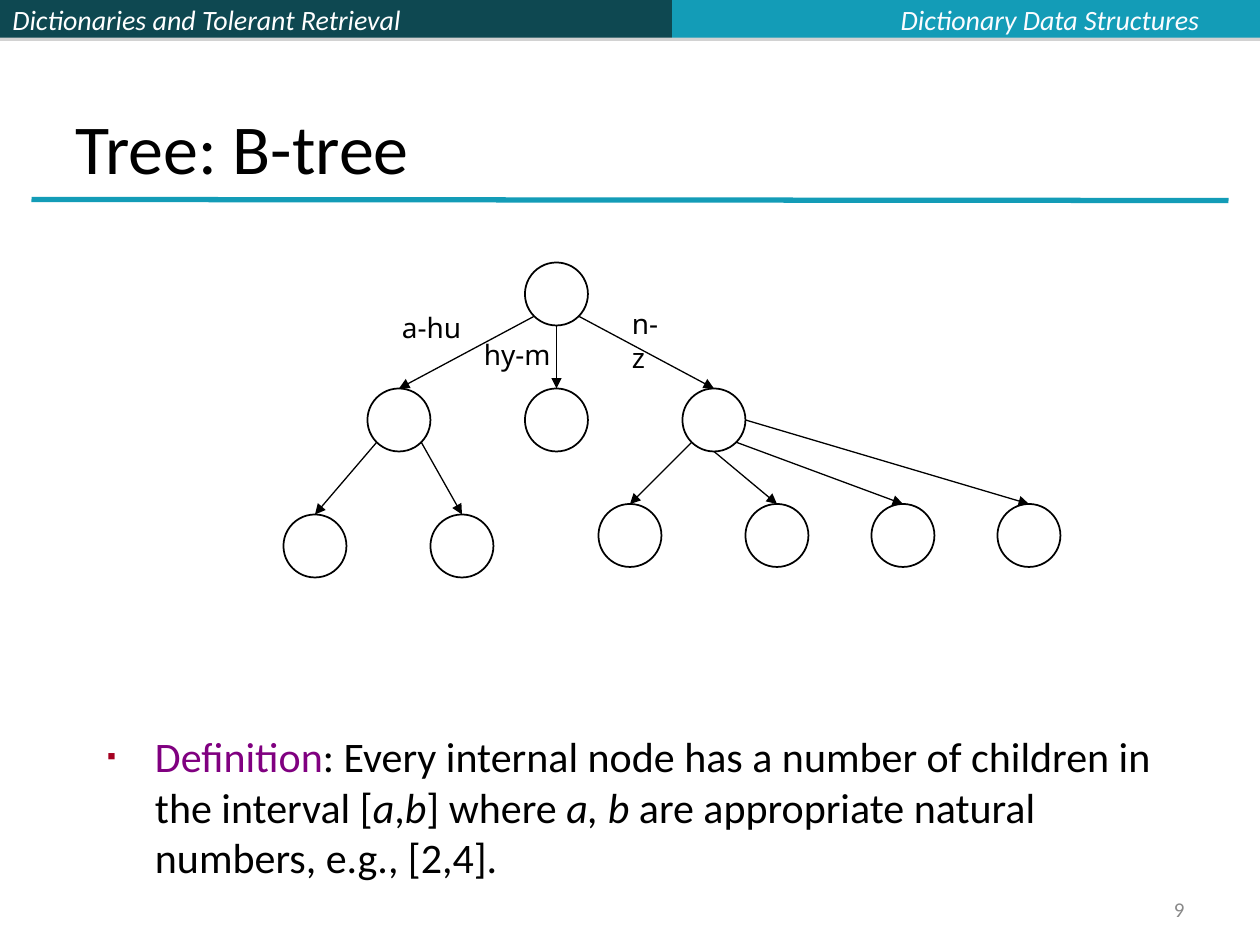
import math
from dataclasses import dataclass

import lxml.etree
import pptx
import pptx.dml.color
import pptx.enum.shapes
import pptx.enum.text
import pptx.oxml
import pptx.oxml.ns
import pptx.util

COLUMNS, ROWS = 120, 90
CELL = pptx.util.Inches(10) // COLUMNS
HEADER_ROWS = 3.6
NODE_SIZE = 6

ALIGN = pptx.enum.text.PP_ALIGN
ANCHOR = pptx.enum.text.MSO_ANCHOR
SHAPE = pptx.enum.shapes.MSO_SHAPE


@dataclass(frozen=True)
class Theme:
    font: str = "Calibri"
    label_font: str = "Noto Sans"
    ink: str = "000000"
    dark: str = "0E4851"
    accent: str = "139CB7"
    header_text: str = "FFFFFF"
    section_text: str = "FBFCFF"
    term: str = "800080"
    bullet: str = "A50021"
    muted: str = "898989"
    shadow: str = "808080"
    title_size: int = 40
    body_size: int = 24
    small_size: int = 16
    number_size: int = 12


THEME = Theme()

# Node name: centre column and top row
NODES = {
    "root": (53, 25),
    "left": (38, 37), "middle": (53, 37), "right": (68, 37),
    "left 1": (30, 49), "left 2": (44, 49),
    "right 1": (60, 48), "right 2": (74, 48),
    "right 3": (86, 48), "right 4": (98, 48),
}

# Parent, child, and the clockwise angle from the right where the edge leaves
EDGES = [
    ("root", "left", 135), ("root", "middle", 90), ("root", "right", 45),
    ("left", "left 1", 135), ("left", "left 2", 45),
    ("right", "right 1", 135), ("right", "right 2", 90),
    ("right", "right 3", 45), ("right", "right 4", 0),
]

LABELS = [
    ("a-hu", (37.1, 29, 8, 4.4)),
    ("hy-m", (44.9, 31.6, 8.8, 4.4)),
    ("n-z", (59, 28.6, 6.1, 4.4)),
]

# Text, colour, italic
DEFINITION = [
    ("Definition", THEME.term, False),
    (": Every internal node has a number of children in the interval [", THEME.ink, False),
    ("a", THEME.ink, True),
    (",", THEME.ink, False),
    ("b", THEME.ink, True),
    ("] where ", THEME.ink, False),
    ("a, b", THEME.ink, True),
    (" are appropriate natural numbers, e.g., [2,4].", THEME.ink, False),
]


def grid(*cells):
    return [round(cell * CELL) for cell in cells]


def rgb(code):
    return pptx.dml.color.RGBColor.from_string(code)


def place(shape, area):
    shape.left, shape.top, shape.width, shape.height = grid(*area)


def format_span(span, size, color, font=THEME.font, italic=False):
    span.font.name = font
    span.font.size = pptx.util.Pt(size)
    span.font.italic = italic
    span.font.color.rgb = rgb(color)


def set_text(shape, text, size, color, align=ALIGN.LEFT, anchor=ANCHOR.MIDDLE, **style):
    frame = shape.text_frame
    frame.text = text
    frame.vertical_anchor = anchor
    para = frame.paragraphs[0]
    para.alignment = align
    format_span(para.runs[0], size, color, **style)


def add_text(slide, area, text, size, color, wrap=True, **style):
    box = slide.shapes.add_textbox(*grid(*area))
    box.text_frame.word_wrap = wrap
    set_text(box, text, size, color, **style)


def add_header_band(slide, left, width, color):
    band = slide.shapes.add_shape(SHAPE.RECTANGLE, *grid(left, 0, width, HEADER_ROWS))
    band.fill.solid()
    band.fill.fore_color.rgb = rgb(color)
    band.line.fill.background()
    band.shadow.inherit = False
    effects = band.fill._xPr.find(pptx.oxml.ns.qn("a:effectLst"))
    effects.append(pptx.oxml.parse_xml(
        f'<a:outerShdw {pptx.oxml.ns.nsdecls("a")} dist="{pptx.util.Pt(1.8)}" dir="5400000">'
        f'<a:srgbClr val="{THEME.shadow}"><a:alpha val="35000"/></a:srgbClr></a:outerShdw>'))
    return band


def add_line(slide, start, end, color, width, arrow=False):
    line = slide.shapes.add_connector(
        pptx.enum.shapes.MSO_CONNECTOR.STRAIGHT, *grid(*start, *end))
    line.line.color.rgb = rgb(color)
    line.line.width = pptx.util.Pt(width)
    if arrow:
        lxml.etree.SubElement(
            line.line._get_or_add_ln(), pptx.oxml.ns.qn("a:tailEnd"), type="triangle")
    lxml.etree.SubElement(line._element.spPr, pptx.oxml.ns.qn("a:effectLst"))


def add_node(slide, center, top):
    node = slide.shapes.add_shape(
        SHAPE.OVAL, *grid(center - NODE_SIZE / 2, top, NODE_SIZE, NODE_SIZE))
    node.fill.background()
    node.line.color.rgb = rgb(THEME.ink)
    node.line.width = pptx.util.Pt(1)
    node.shadow.inherit = False


def add_edge(slide, parent, child, angle):
    """Draw an arrow from the rim of the parent to the top of the child."""
    center, top = NODES[parent]
    radius = NODE_SIZE / 2
    turn = math.radians(angle)
    start = (center + radius * math.cos(turn), top + radius + radius * math.sin(turn))
    add_line(slide, start, NODES[child], THEME.ink, 0.75, arrow=True)


def fill_definition(body):
    place(body, (9, 69, 102, 18))
    body.text_frame.auto_size = pptx.enum.text.MSO_AUTO_SIZE.NONE
    para = body.text_frame.paragraphs[0]
    para.space_before = pptx.util.Pt(6)
    for text, color, italic in DEFINITION:
        span = para.add_run()
        span.text = text
        format_span(span, THEME.body_size, color, italic=italic)
    properties = para._p.get_or_add_pPr()
    indent = pptx.util.Inches(0.38)
    properties.set("marL", str(indent))
    properties.set("indent", str(-indent))
    color = lxml.etree.SubElement(properties, pptx.oxml.ns.qn("a:buClr"))
    lxml.etree.SubElement(color, pptx.oxml.ns.qn("a:srgbClr"), val=THEME.bullet)
    lxml.etree.SubElement(properties, pptx.oxml.ns.qn("a:buSzPct"), val="60000")
    lxml.etree.SubElement(properties, pptx.oxml.ns.qn("a:buChar"), char="▪")


def main():
    deck = pptx.Presentation()
    deck.slide_width, deck.slide_height = grid(COLUMNS, ROWS)
    slide = deck.slides.add_slide(deck.slide_layouts[1])

    add_header_band(slide, 64, 56, THEME.accent)
    chapter = add_header_band(slide, 0, 64, THEME.dark)
    set_text(chapter, "Dictionaries and Tolerant Retrieval",
             THEME.small_size, THEME.header_text, italic=True)
    add_text(slide, (80, -0.4, 40, 4.4), "Dictionary Data Structures",
             THEME.small_size, THEME.section_text, align=ALIGN.CENTER, italic=True)

    title, body = slide.placeholders
    place(title, (6, HEADER_ROWS, 108, 15))
    set_text(title, "Tree: B-tree", THEME.title_size, THEME.ink, anchor=ANCHOR.BOTTOM)
    add_line(slide, (3, 19), (117, 19.1), THEME.accent, 3)

    for center, top in NODES.values():
        add_node(slide, center, top)
    for edge in EDGES:
        add_edge(slide, *edge)
    for text, area in LABELS:
        add_text(slide, area, text, THEME.small_size, THEME.ink,
                 wrap=False, anchor=ANCHOR.TOP, font=THEME.label_font)

    fill_definition(body)
    add_text(slide, (86, 85, 28, 3.2), "9", THEME.number_size, THEME.muted,
             align=ALIGN.RIGHT)
    deck.save("out.pptx")


if __name__ == "__main__":
    main()
